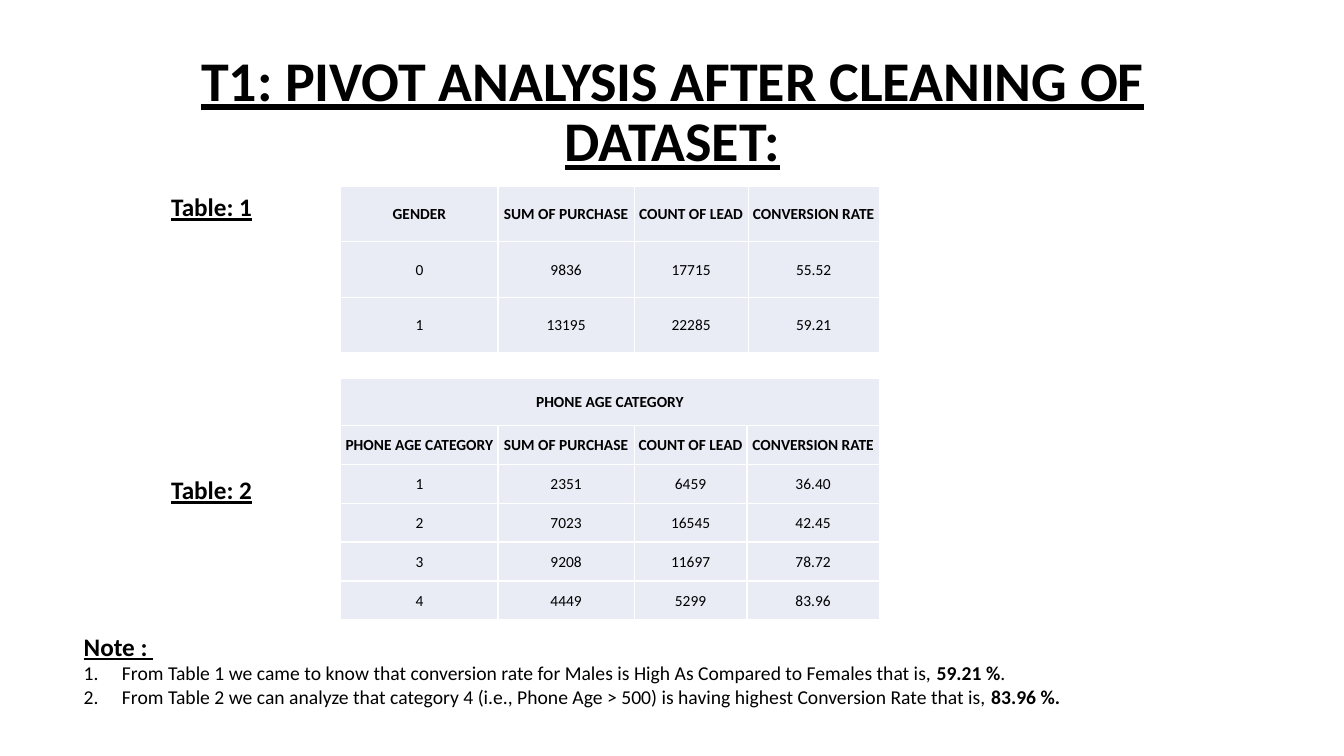
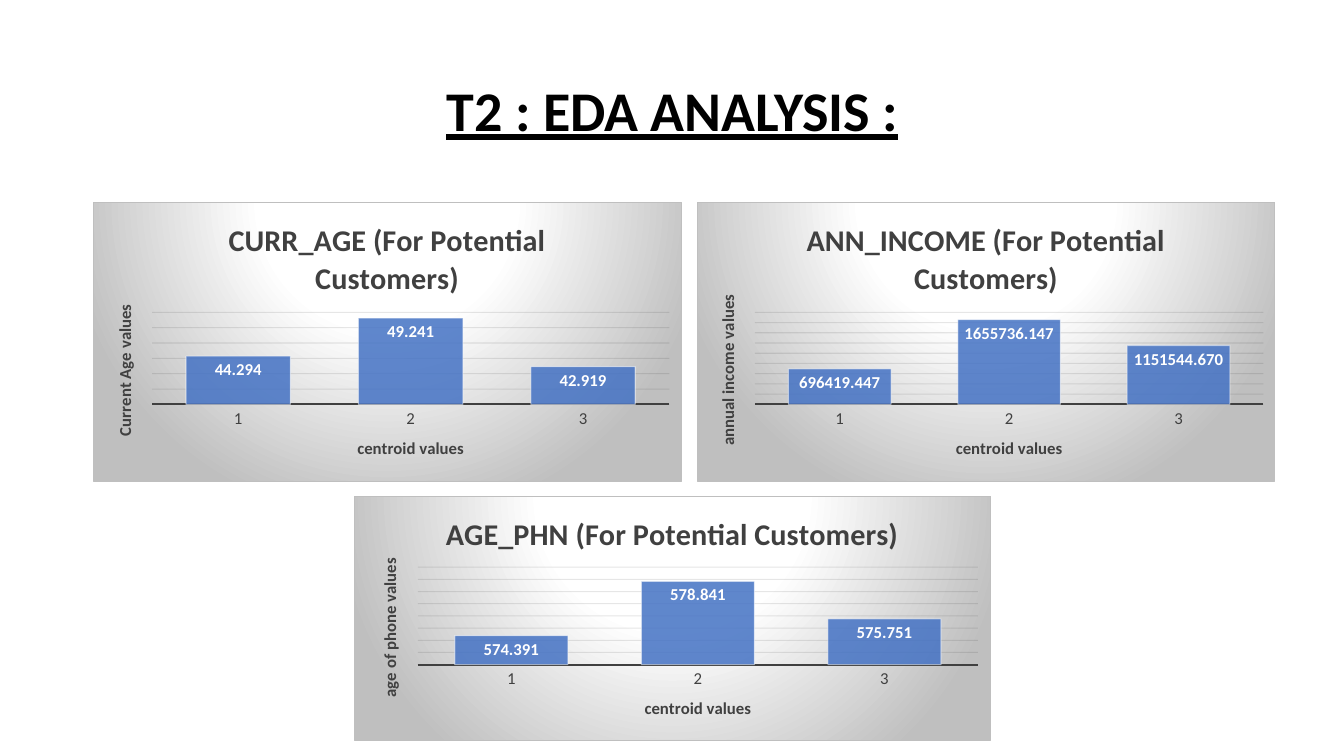
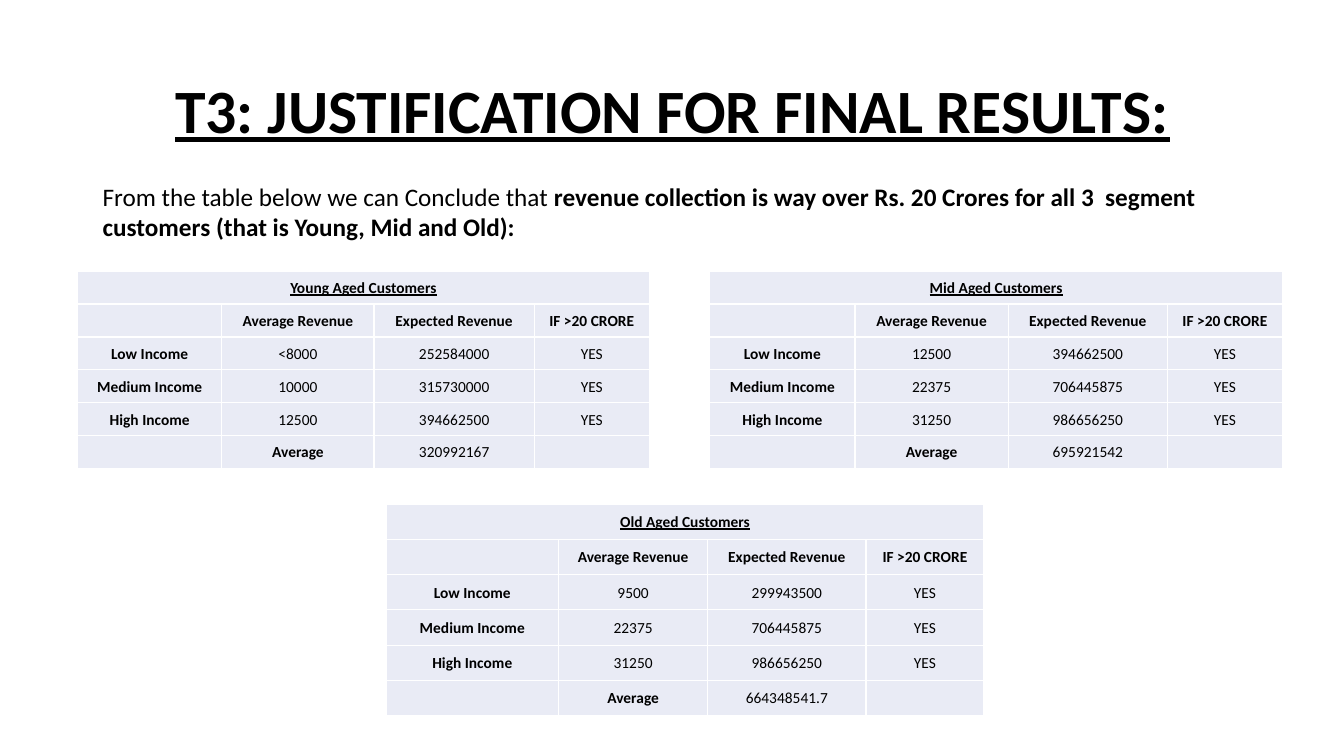
from dataclasses import dataclass

from lxml import etree
from pptx import Presentation
from pptx.chart.data import CategoryChartData
from pptx.dml.color import RGBColor
from pptx.enum.chart import XL_CHART_TYPE, XL_LABEL_POSITION, XL_TICK_MARK
from pptx.enum.text import MSO_ANCHOR, MSO_AUTO_SIZE, PP_ALIGN
from pptx.oxml import parse_xml
from pptx.oxml.ns import nsdecls, qn
from pptx.util import Inches, Pt

COLUMN = XL_CHART_TYPE.COLUMN_CLUSTERED
INSIDE_END = XL_LABEL_POSITION.INSIDE_END
NO_TICK = XL_TICK_MARK.NONE
MIDDLE, TOP = MSO_ANCHOR.MIDDLE, MSO_ANCHOR.TOP
NO_FIT = MSO_AUTO_SIZE.NONE
CENTER = PP_ALIGN.CENTER


@dataclass(frozen=True)
class Theme:
    """Colours, font and type sizes shared by all slides."""
    font: str = "Calibri"
    ink: str = "000000"
    white: str = "FFFFFF"
    cell: str = "E9EBF5"
    bar: str = "4472C4"
    axis: str = "404040"
    grid: str = "0D0D0D"
    edge: str = "BFBFBF"
    title: float = 40
    big_title: float = 44
    heading: float = 18
    note: float = 14
    table: float = 11
    chart_title: float = 21.6
    chart: float = 12


T = Theme()


def add_run(p, text, size=T.heading, bold=False, underline=False, color=T.ink):
    """Append one formatted run to a paragraph."""
    r = p.add_run()
    r.text = text
    r.font.name, r.font.size = T.font, Pt(size)
    r.font.bold, r.font.underline = bold, underline
    r.font.color.rgb = RGBColor.from_string(color)


def add_grid(s, left, top, widths, height, rows, heads=1, title_height=None,
             underline=False):
    """Add a pale table; a one-item first row spans all columns."""
    shape = s.shapes.add_table(len(rows), len(widths), Inches(left), Inches(top),
                               Inches(sum(widths)), Inches(height))
    table = shape.table
    table.first_row = table.horz_banding = False
    for column, width in zip(table.columns, widths):
        column.width = Inches(width)
    first = title_height or height / len(rows)
    for i, row in enumerate(table.rows):
        row.height = Inches((height - first) / (len(rows) - 1) if i else first)
    for i, values in enumerate(rows):
        if len(values) == 1:
            table.cell(i, 0).merge(table.cell(i, len(widths) - 1))
        for j in range(len(widths)):
            cell = table.cell(i, j)
            cell.margin_left = cell.margin_right = cell.margin_top = Inches(0.01)
            cell.margin_bottom = 0
            cell.vertical_anchor = MIDDLE
            cell.fill.solid()
            cell.fill.fore_color.rgb = RGBColor.from_string(T.cell)
            for k, side in enumerate(("lnL", "lnR", "lnT", "lnB")):
                cell._tc.get_or_add_tcPr().insert(k, parse_xml(
                    f'<a:{side} {nsdecls("a")} w="12700"><a:solidFill>'
                    f'<a:srgbClr val="{T.white}"/></a:solidFill></a:{side}>'))
            if j < len(values) and values[j]:
                p = cell.text_frame.paragraphs[0]
                p.alignment = CENTER
                add_run(p, values[j], size=T.table,
                        bold=i < heads or values[j] in ROW_LABELS,
                        underline=underline and i == 0)


INCOMES = ("Low Income", "Medium Income", "High Income")
ROW_LABELS = (*INCOMES, "Average")

prs = Presentation()
prs.slide_width, prs.slide_height = Inches(13.33), Inches(7.5)

slides = []
for layout, title, size in (
        (1, "T1: PIVOT ANALYSIS AFTER CLEANING OF DATASET:", T.title),
        (5, "T2 : EDA ANALYSIS :", T.title),
        (5, "T3: JUSTIFICATION FOR FINAL RESULTS:", T.big_title)):
    s = prs.slides.add_slide(prs.slide_layouts[layout])
    sp = s.shapes.title
    sp.left, sp.top, sp.width, sp.height = map(Inches, (0.92, 0.4, 11.5, 1.45))
    tf = sp.text_frame
    tf.auto_size, tf.vertical_anchor = NO_FIT, MIDDLE
    p = tf.paragraphs[0]
    p.alignment, p.line_spacing = CENTER, 0.9
    add_run(p, title, size=size, bold=True, underline=True)
    slides.append(s)
pivot, eda, results = slides

# Pivot tables
MEASURES = ("SUM OF PURCHASE", "COUNT OF LEAD", "CONVERSION RATE")
add_grid(pivot, 3.38, 1.85, (1.56, 1.35, 1.13, 1.3), 1.65, [
    ("GENDER", *MEASURES),
    ("0", "9836", "17715", "55.52"),
    ("1", "13195", "22285", "59.21")])
add_grid(pivot, 3.38, 3.75, (1.56, 1.35, 1.12, 1.31), 2.4, [
    ("PHONE AGE CATEGORY",),
    ("PHONE AGE CATEGORY", *MEASURES),
    ("1", "2351", "6459", "36.40"),
    ("2", "7023", "16545", "42.45"),
    ("3", "9208", "11697", "78.72"),
    ("4", "4449", "5299", "83.96")], heads=2, title_height=0.47)

# Text boxes: slide, place, runs of (text, bold, underline)
for s, box, runs in (
        (pivot, (1.6, 1.85, 1.43, 0.4), [("Table: 1", True, True)]),
        (pivot, (1.6, 4.66, 1.25, 0.4), [("Table: 2", True, True)]),
        (results, (0.92, 1.75, 11.6, 0.71), [
            ("From the table below we can Conclude that ", False, False),
            ("revenue collection is way over Rs. 20 Crores for all 3  segment "
             "customers (that is Young, Mid and Old): ", True, False)])):
    tf = s.shapes.add_textbox(*map(Inches, box)).text_frame
    tf.word_wrap = True
    for text, bold, underline in runs:
        add_run(tf.paragraphs[0], text, bold=bold, underline=underline)

# Numbered notes
body = pivot.placeholders[1]
body.left, body.top, body.width, body.height = map(Inches, (0.73, 6.21, 11.86, 0.88))
tf = body.text_frame
tf.auto_size, tf.vertical_anchor = NO_FIT, TOP
notes = [
    [("Note : ", True)],
    [("From Table 1 we came to know that conversion rate for Males is High As "
      "Compared to Females that is, ", False), ("59.21 %", True), (".", False)],
    [("From Table 2 we can analyze that category 4 (i.e., Phone Age > 500) is "
      "having highest Conversion Rate that is, ", False), ("83.96 %.", True)]]
for i, runs in enumerate(notes):
    p = tf.add_paragraph() if i else tf.paragraphs[0]
    p.space_before = Pt(0)
    indent = Inches(0.38) if i else 0
    pPr = p._p.get_or_add_pPr()
    pPr.set("marL", str(indent))
    pPr.set("indent", str(-indent))
    if i:
        etree.SubElement(pPr, qn("a:buAutoNum")).set("type", "arabicPeriod")
    else:
        etree.SubElement(pPr, qn("a:buNone"))
    for text, bold in runs:
        add_run(p, text, size=T.note if i else T.heading, bold=bold,
                underline=i == 0)

# Charts: place, title, axis title, values, axis (min, max, step), plot area
CHART_FILL = f"""<c:spPr {nsdecls("c", "a")}><a:gradFill><a:gsLst>
<a:gs pos="0"><a:srgbClr val="{T.white}"/></a:gs>
<a:gs pos="39000"><a:srgbClr val="{T.white}"/></a:gs>
<a:gs pos="100000"><a:srgbClr val="{T.edge}"/></a:gs></a:gsLst>
<a:path path="circle"><a:fillToRect l="50000" t="-80000" r="50000" b="180000"/></a:path>
</a:gradFill><a:ln w="9525"><a:solidFill><a:srgbClr val="{T.edge}"/></a:solidFill></a:ln>
</c:spPr>"""
OPACITY = {".//c:ser/c:spPr/a:solidFill/a:srgbClr": 85,
           ".//c:ser/c:spPr/a:ln/a:solidFill/a:srgbClr": 50,
           ".//c:majorGridlines/c:spPr/a:ln/a:solidFill/a:srgbClr": 10}
for box, name, measure, values, scale, plot_area in (
        ((0.92, 2, 5.84, 2.78), "CURR_AGE", "Current Age values",
         (44.294, 49.241, 42.919), (38, 50, 2), (0.1, 0.395, 0.88, 0.33)),
        ((6.91, 2, 5.74, 2.78), "ANN_INCOME", "annual income values",
         (696419.447, 1655736.147, 1151544.67), (0, 1800000, 200000),
         (0.1, 0.395, 0.88, 0.33)),
        ((3.51, 4.92, 6.32, 2.43), "AGE_PHN", "age of phone values",
         (574.391, 578.841, 575.751), (572, 580, 1), (0.1, 0.29, 0.88, 0.4))):
    data = CategoryChartData(number_format="0.000")
    data.categories = ["1", "2", "3"]
    data.add_series("Series 1", values)
    chart = eda.shapes.add_chart(COLUMN, *map(Inches, box), data).chart
    chart.has_legend = False
    chart.font.name, chart.font.size = T.font, Pt(T.chart)
    chart.font.color.rgb = RGBColor.from_string(T.axis)

    cat_axis, val_axis = chart.category_axis, chart.value_axis
    for part, text, size in (
            (chart.chart_title, f"{name} (For Potential Customers)", T.chart_title),
            (cat_axis.axis_title, "centroid values", T.chart),
            (val_axis.axis_title, measure, T.chart)):
        add_run(part.text_frame.paragraphs[0], text, size=size, bold=True,
                color=T.axis)
    cat_axis.major_tick_mark = NO_TICK
    val_axis.visible = False
    val_axis.minimum_scale, val_axis.maximum_scale, val_axis.major_unit = scale

    plot = chart.plots[0]
    plot.gap_width, plot.vary_by_categories = 65, False
    bars = plot.series[0].format
    bars.fill.solid()
    bars.fill.fore_color.rgb = RGBColor.from_string(T.bar)
    for line, color, width in ((bars.line, T.white, 0.75),
                               (cat_axis.format.line, T.axis, 1.5),
                               (val_axis.major_gridlines.format.line, T.grid, 0.75)):
        line.color.rgb = RGBColor.from_string(color)
        line.width = Pt(width)

    plot.has_data_labels = True
    labels = plot.data_labels
    labels.show_value, labels.position = True, INSIDE_END
    labels.number_format, labels.number_format_is_linked = "0.000", False
    labels.font.name, labels.font.size, labels.font.bold = T.font, Pt(T.chart), True
    labels.font.color.rgb = RGBColor.from_string(T.white)

    root = chart.element
    for query, percent in OPACITY.items():
        etree.SubElement(root.xpath(query)[0], qn("a:alpha")).set(
            "val", str(percent * 1000))
    root.xpath(".//c:valAx/c:title//a:bodyPr")[0].set("rot", "-5400000")
    root.find(qn("c:chart")).addnext(parse_xml(CHART_FILL))
    area = root.xpath(".//c:plotArea")[0]
    for old in area.findall(qn("c:layout")):
        area.remove(old)
    sizes = "".join(f'<c:{tag} val="{value}"/>'
                    for tag, value in zip("xywh", plot_area))
    area.insert(0, parse_xml(
        f'<c:layout {nsdecls("c")}><c:manualLayout><c:layoutTarget val="inner"/>'
        f'<c:xMode val="edge"/><c:yMode val="edge"/>{sizes}'
        '</c:manualLayout></c:layout>'))

# Revenue tables: age group, place, column widths, height, revenues, average
for group, left, top, widths, height, average_revenue, expected, average in (
        ("Old", 3.83, 5, (1.71, 1.48, 1.57, 1.17), 2.1,
         ("9500", "22375", "31250"),
         ("299943500", "706445875", "986656250"), "664348541.7"),
        ("Young", 0.77, 2.69, (1.43, 1.51, 1.59, 1.14), 1.96,
         ("<8000", "10000", "12500"),
         ("252584000", "315730000", "394662500"), "320992167"),
        ("Mid", 7.04, 2.69, (1.44, 1.52, 1.58, 1.14), 1.96,
         ("12500", "22375", "31250"),
         ("394662500", "706445875", "986656250"), "695921542")):
    add_grid(results, left, top, widths, height, [
        (f"{group} Aged Customers",),
        ("", "Average Revenue", "Expected Revenue", "IF >20 CRORE"),
        *zip(INCOMES, average_revenue, expected, ("YES",) * 3),
        ("", "Average", average, "")], heads=2, underline=True)

prs.save("out.pptx")
